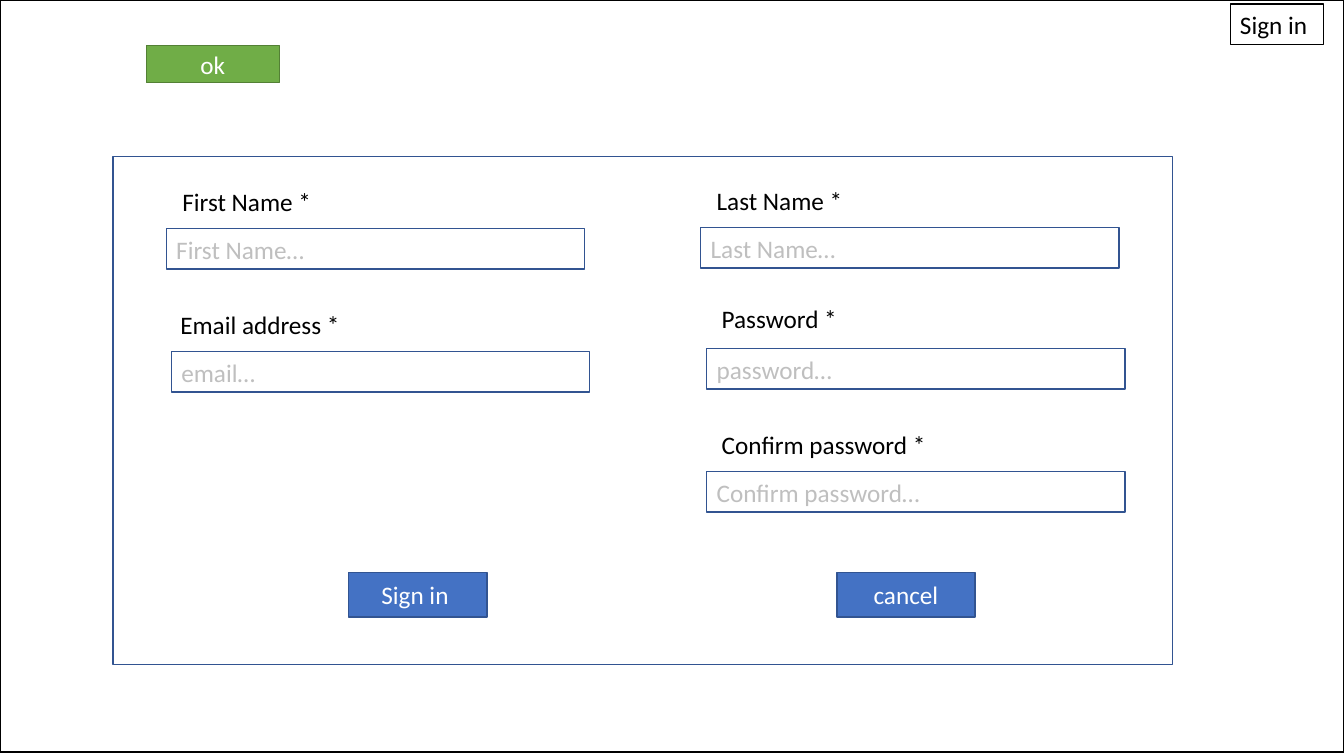
from dataclasses import dataclass
from typing import Optional

from pptx import Presentation
from pptx.dml.color import RGBColor
from pptx.enum.shapes import MSO_SHAPE
from pptx.enum.text import MSO_ANCHOR, MSO_AUTO_SIZE, PP_ALIGN
from pptx.shapes.autoshape import Shape
from pptx.util import Inches, Pt

BLACK, WHITE, GREY = "000000", "FFFFFF", "BFBFBF"
BLUE, BLUE_EDGE = "4472C4", "325491"
GREEN, GREEN_EDGE = "70AD47", "538035"
ROW_HEIGHT = 0.4
INPUT_WIDTH, HINT_WIDTH = 4.15, 2.36


@dataclass
class Field:
    label: str
    hint: str
    label_left: float
    label_top: float
    label_width: float
    input_left: float
    input_top: float


@dataclass
class Button:
    text: str
    left: float
    top: float
    width: float
    height: float
    fill: str
    edge: str


FIELDS = [
    Field("First Name *", "First Name…", 1.71, 1.8, 1.49, 1.65, 2.27),
    Field("Last Name *", "Last Name…", 7.01, 1.79, 1.46, 6.95, 2.26),
    Field("Email address *", "email…", 1.69, 3.02, 1.8, 1.7, 3.49),
    Field("Password *", "password…", 7.06, 2.96, 1.36, 7.01, 3.46),
    Field("Confirm password *", "Confirm password…", 7.06, 4.21, 2.25, 7.01, 4.68),
]
BUTTONS = [
    Button("Sign in ", 3.46, 5.68, 1.37, 0.44, BLUE, BLUE_EDGE),
    Button("cancel", 8.3, 5.68, 1.37, 0.44, BLUE, BLUE_EDGE),
    Button("ok", 1.45, 0.45, 1.32, 0.37, GREEN, GREEN_EDGE),
]

deck = Presentation()
deck.slide_width, deck.slide_height = Inches(13.33), Inches(7.5)
slide = deck.slides.add_slide(deck.slide_layouts[6])


def rgb(color: str) -> RGBColor:
    return RGBColor.from_string(color)


def write(shape: Shape, text: str, *, color: str = BLACK, wrap: bool = True,
          grow: bool = True, align: PP_ALIGN = PP_ALIGN.LEFT,
          anchor: MSO_ANCHOR = MSO_ANCHOR.TOP) -> None:
    frame = shape.text_frame
    frame.word_wrap = wrap
    frame.auto_size = MSO_AUTO_SIZE.SHAPE_TO_FIT_TEXT if grow else MSO_AUTO_SIZE.NONE
    frame.vertical_anchor = anchor
    paragraph = frame.paragraphs[0]
    paragraph.alignment = align
    run = paragraph.add_run()
    run.text = text
    run.font.name, run.font.size = "Calibri", Pt(18)
    run.font.color.rgb = rgb(color)


def add_box(left: float, top: float, width: float, height: float, *,
            edge: str, fill: Optional[str] = None, weight: float = 1) -> Shape:
    box = slide.shapes.add_shape(MSO_SHAPE.RECTANGLE, Inches(left), Inches(top),
                                 Inches(width), Inches(height))
    box.shadow.inherit = False
    if fill:
        box.fill.solid()
        box.fill.fore_color.rgb = rgb(fill)
    else:
        box.fill.background()
    box.line.color.rgb = rgb(edge)
    box.line.width = Pt(weight)
    return box


def add_text(text: str, left: float, top: float, width: float, *,
             color: str = BLACK, wrap: bool = True) -> None:
    box = slide.shapes.add_textbox(Inches(left), Inches(top),
                                   Inches(width), Inches(ROW_HEIGHT))
    write(box, text, color=color, wrap=wrap)


def add_field(field: Field) -> None:
    add_text(field.label, field.label_left, field.label_top, field.label_width, wrap=False)
    add_box(field.input_left, field.input_top, INPUT_WIDTH, ROW_HEIGHT,
            edge=BLUE_EDGE, fill=WHITE)
    add_text(field.hint, field.input_left, field.input_top + 0.01, HINT_WIDTH, color=GREY)


def add_button(button: Button) -> None:
    box = add_box(button.left, button.top, button.width, button.height,
                  edge=button.edge, fill=button.fill)
    write(box, button.text, color=WHITE, grow=False,
          align=PP_ALIGN.CENTER, anchor=MSO_ANCHOR.MIDDLE)


# Form panel and page frame
add_box(1.12, 1.55, 10.51, 5.04, edge=BLUE_EDGE, fill=WHITE)
add_box(0, 0, 13.33, 7.46, edge=BLACK)

# Sign-in link in the top right corner
sign_in_link = add_box(12.2, 0.04, 0.93, ROW_HEIGHT, edge=BLACK, weight=0.75)
write(sign_in_link, "Sign in ", wrap=False)

# Form fields
for form_field in FIELDS:
    add_field(form_field)

# Buttons
for form_button in BUTTONS:
    add_button(form_button)

deck.save("out.pptx")
